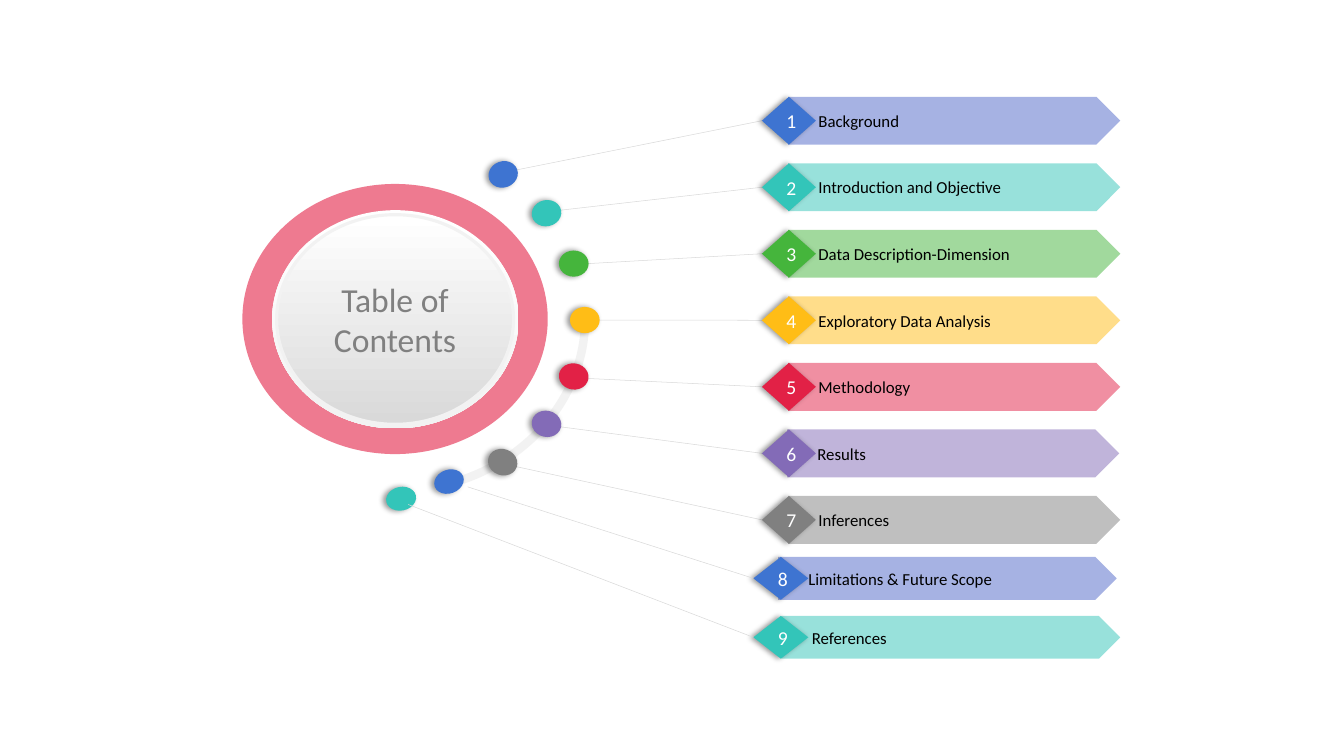
from lxml import etree
from pptx import Presentation
from pptx.dml.color import RGBColor
from pptx.enum.shapes import MSO_CONNECTOR, MSO_SHAPE as SHAPE
from pptx.enum.text import MSO_ANCHOR, MSO_AUTO_SIZE, PP_ALIGN
from pptx.oxml.ns import qn
from pptx.util import Inches, Pt

FONT = "Calibri"
BLUE, TEAL, GREEN, YELLOW = "3E74D1", "33C5B9", "45B53C", "FFBD16"
RED, PURPLE, GRAY, INDIGO = "E22146", "836BB7", "808080", "4E67C8"
PITCH = 1.32       # distance between the tops of the first seven rows
MAIN_ROWS = 7

# label, colour, dot left, dot top, dot rotation, connector start
ENTRIES = [
    ("Background", BLUE, 9.69, 3.2, 339.9, (10.26, 3.37)),
    ("Introduction and Objective", TEAL, 10.55, 3.97, 348.2, (11.13, 4.17)),
    ("Data Description-Dimension", GREEN, 11.09, 4.97, 0, (11.68, 5.23)),
    ("Exploratory Data Analysis", YELLOW, 11.31, 6.09, 0, (11.9, 6.35)),
    ("Methodology", RED, 11.09, 7.21, 8.5, (11.68, 7.51)),
    ("Results", PURPLE, 10.55, 8.15, 13.2, (11.13, 8.47)),
    ("Inferences", GRAY, 9.68, 8.91, 20, (10.25, 9.26)),
    ("Limitations & Future Scope", BLUE, 8.61, 9.32, 339.9, (9.28, 9.66)),
    ("References", TEAL, 7.66, 9.66, 348.2, (8.1, 10.01)),
]


def rgb(color):
    return RGBColor.from_string(color)


def add_shape(s, kind, box, fill=None, line=None, width=0):
    sp = s.shapes.add_shape(kind, *map(Inches, box))
    sp.shadow.inherit = False
    if fill:
        sp.fill.solid()
        sp.fill.fore_color.rgb = rgb(fill)
    else:
        sp.fill.background()
    if line:
        sp.line.color.rgb = rgb(line)
        sp.line.width = Pt(width)
    else:
        sp.line.fill.background()
    return sp


def set_gradient(sp, *colors):
    sp.fill.gradient()
    sp.fill.gradient_angle = 270
    for stop, color in zip(sp.fill.gradient_stops, colors):
        stop.color.rgb = rgb(color)


def set_alpha(parent, percent):
    etree.SubElement(parent, qn("a:alpha"), val=str(percent * 1000))


def add_left_shadow(sp):
    effects = sp.element.spPr.find(qn("a:effectLst"))
    shadow = etree.SubElement(effects, qn("a:outerShdw"), blurRad=str(Pt(8)),
                              dist=str(Pt(4)), dir=str(180 * 60000),
                              algn="ctr", rotWithShape="0")
    set_alpha(etree.SubElement(shadow, qn("a:srgbClr"), val="000000"), 40)


def format_text(sp, text, size, color, align):
    tf = sp.text_frame
    tf.text = text
    tf.word_wrap = True
    tf.auto_size = MSO_AUTO_SIZE.NONE
    tf.vertical_anchor = MSO_ANCHOR.MIDDLE
    tf.margin_left = tf.margin_right = Inches(0.05)
    tf.margin_top = tf.margin_bottom = Inches(0.05)
    p = tf.paragraphs[0]
    p.alignment = align
    font = p.runs[0].font
    font.name, font.size, font.color.rgb = FONT, Pt(size), rgb(color)


def add_text(s, box, text, size, color, align=PP_ALIGN.LEFT):
    format_text(s.shapes.add_textbox(*map(Inches, box)),
                text, size, color, align)


def row_geometry(i):
    """Return top, height, bar left, bar width, diamond left, diamond width."""
    if i < MAIN_ROWS:
        bar_left = 15.62 if i == 5 else 15.64
        return 1.92 + PITCH * i, 0.95, bar_left, 6.59, 15.12, 1.07
    k = i - MAIN_ROWS
    return 11.05 + 1.17 * k, 0.85, 15.44 + 0.07 * k, 6.72, 14.95, 1.09


def add_connector(s, i):
    top, height, _, _, left, _ = row_geometry(i)
    ends = (*ENTRIES[i][5], left, top + height / 2)
    line = s.shapes.add_connector(MSO_CONNECTOR.STRAIGHT, *map(Inches, ends))
    line.line.color.rgb = rgb("D9D9D9")
    line.line.width = Pt(0.75)
    etree.SubElement(line.element.spPr, qn("a:effectLst"))


def add_dot(s, i):
    _, color, left, top, rotation, _ = ENTRIES[i]
    size = (0.59, 0.52) if i < MAIN_ROWS else (0.6, 0.47)
    dot = add_shape(s, SHAPE.OVAL, (left, top, *size), color)
    dot.rotation = rotation
    add_left_shadow(dot)


def add_row(s, i):
    label, color = ENTRIES[i][:2]
    top, height, bar_left, bar_width, left, width = row_geometry(i)
    middle = top + height / 2
    # Half-transparent arrow bar
    bar = add_shape(s, SHAPE.PENTAGON, (bar_left, top, bar_width, height),
                    INDIGO if color == BLUE else color)
    set_alpha(bar.element.spPr.find(".//" + qn("a:srgbClr")), 50)
    add_text(s, (bar_left + 0.55, middle - 0.3, 5.75, 0.6),
             label, 24, "000000")
    # Numbered diamond
    diamond = add_shape(s, SHAPE.DIAMOND, (left, top, width, height), color)
    add_left_shadow(diamond)
    add_text(s, (left + 0.41, middle - 0.34, 0.35, 0.68),
             str(i + 1), 28, "FFFFFF", PP_ALIGN.CENTER)


def add_hub(s):
    # Ring, its hole and the inner disc
    add_shape(s, SHAPE.OVAL, (4.81, 3.65, 6.06, 5.36), "EE7A90")
    hole = add_shape(s, SHAPE.OVAL, (5.4, 4.17, 4.89, 4.33))
    set_gradient(hole, "FFFFFF", "F2F2F2")
    disc = add_shape(s, SHAPE.OVAL, (5.49, 4.26, 4.7, 4.16),
                     line="F2F2F2", width=4.5)
    set_gradient(disc, "FFFFFF", "D9D9D9")
    # Title, brought in front of the disc
    title = s.shapes.title
    title.left, title.top, title.width, title.height = map(
        Inches, (6.26, 5.29, 3.16, 2.09))
    format_text(title, "Table of Contents", 48, GRAY, PP_ALIGN.CENTER)
    s.shapes.element.append(title.element)
    # Arc that carries the dots, from 288 to 74 degrees
    arc = add_shape(s, SHAPE.ARC, (4.07, 2.92, 7.54, 6.82),
                    line="F2F2F2", width=12)
    for n, degrees in enumerate((-72.2, 74.2)):
        arc.adjustments[n] = degrees * 0.6


def main():
    prs = Presentation()
    prs.slide_width, prs.slide_height = Inches(26.67), Inches(15)
    s = prs.slides.add_slide(prs.slide_layouts[5])
    for i in range(MAIN_ROWS):
        add_connector(s, i)
    add_hub(s)
    for i in range(len(ENTRIES)):
        add_row(s, i)
        add_dot(s, i)
    for i in range(MAIN_ROWS, len(ENTRIES)):
        add_connector(s, i)
    prs.save("out.pptx")


if __name__ == "__main__":
    main()
